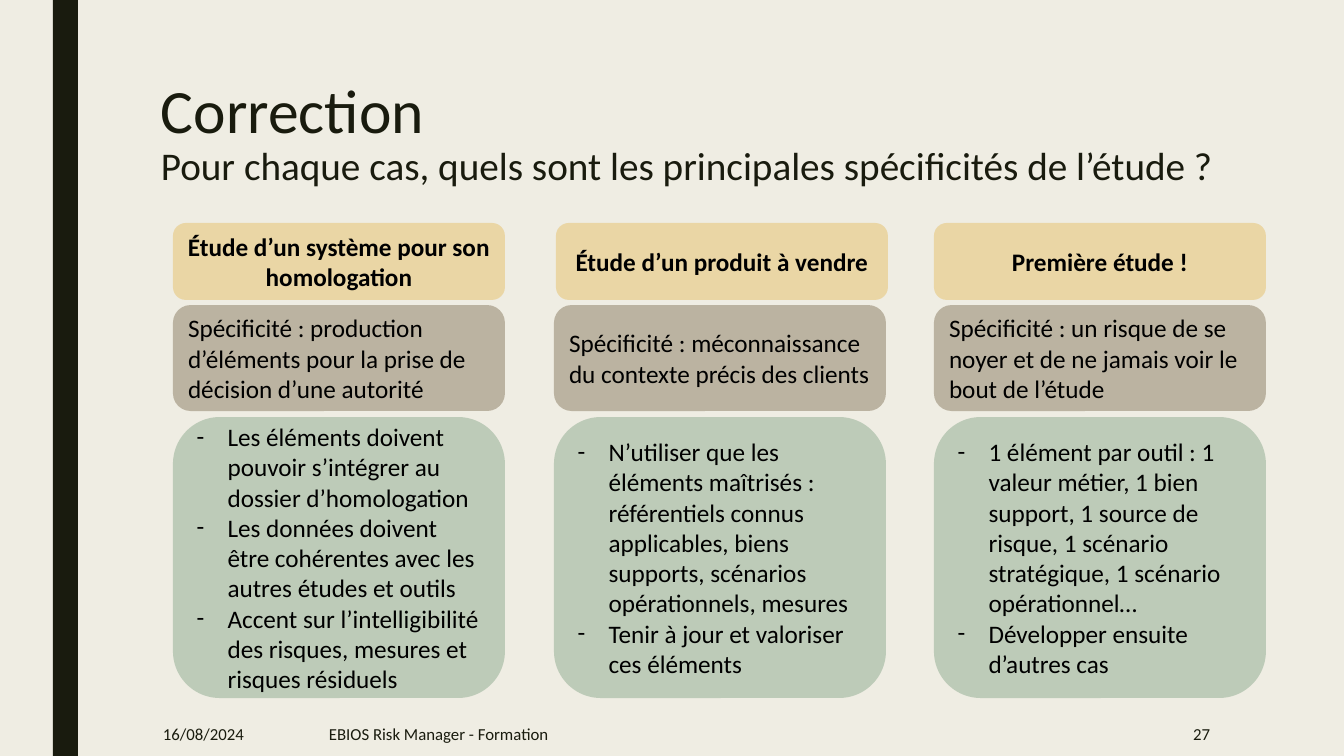
from lxml import etree
from pptx import Presentation
from pptx.dml.color import RGBColor
from pptx.enum.shapes import MSO_SHAPE
from pptx.enum.text import MSO_ANCHOR, PP_ALIGN
from pptx.oxml.ns import qn
from pptx.util import Emu, Pt

EMU_PER_PX = 914400 / 100.8
FONT = "Calibri"
COLORS = {
    "background": "EFEDE3",
    "dark": "191B0E",
    "text": "000000",
    "case": "E6C069",
    "specificity": "897B61",
    "advice": "8DAB8E",
}
CARD_WIDTH = 332
COLUMNS = [
    # card left, header left, header, specificity, advice
    (173, 173, "Étude d’un système pour son homologation",
     "Spécificité : production d’éléments pour la prise de décision d’une autorité",
     ["Les éléments doivent pouvoir s’intégrer au dossier d’homologation",
      "Les données doivent être cohérentes avec les autres études et outils",
      "Accent sur l’intelligibilité des risques, mesures et risques résiduels"]),
    (554, 556, "Étude d’un produit à vendre",
     "Spécificité : méconnaissance du contexte précis des clients",
     ["N’utiliser que les éléments maîtrisés : référentiels connus applicables, "
      "biens supports, scénarios opérationnels, mesures",
      "Tenir à jour et valoriser ces éléments"]),
    (934, 934, "Première étude !",
     "Spécificité : un risque de se noyer et de ne jamais voir le bout de l’étude",
     ["1 élément par outil : 1 valeur métier, 1 bien support, 1 source de risque, "
      "1 scénario stratégique, 1 scénario opérationnel…",
      "Développer ensuite d’autres cas"]),
]


def px(value):
    return Emu(round(value * EMU_PER_PX))


def box(*lengths):
    return [px(v) for v in lengths]


def color(name):
    return RGBColor.from_string(COLORS[name])


def add_run(p, text, size, color_name, bold=False):
    r = p.add_run()
    r.text = text
    r.font.name = FONT
    r.font.size = Pt(size)
    r.font.bold = bold
    r.font.color.rgb = color(color_name)


def add_dash(p):
    """Give the paragraph a dash bullet with a hanging indent."""
    pPr = p._p.get_or_add_pPr()
    pPr.set("marL", str(px(31)))
    pPr.set("indent", str(px(-31)))
    etree.SubElement(pPr, qn("a:buFont"), typeface=FONT)
    etree.SubElement(pPr, qn("a:buChar"), char="-")


def add_filled(s, shape, lengths, fill):
    sp = s.shapes.add_shape(shape, *box(*lengths))
    sp.shadow.inherit = False
    sp.fill.solid()
    sp.fill.fore_color.rgb = color(fill)
    sp.line.fill.background()
    return sp


def add_card(s, lengths, fill, texts, align=PP_ALIGN.LEFT, bold=False, dashed=False):
    """Add a half-transparent rounded card with one paragraph per text."""
    sp = add_filled(s, MSO_SHAPE.FLOWCHART_ALTERNATE_PROCESS, lengths, fill)
    srgb = sp.fill._xPr.find(".//" + qn("a:srgbClr"))
    etree.SubElement(srgb, qn("a:alpha"), val="50000")
    tf = sp.text_frame
    tf.word_wrap = True
    tf.vertical_anchor = MSO_ANCHOR.MIDDLE
    for i, text in enumerate(texts):
        p = tf.add_paragraph() if i else tf.paragraphs[0]
        p.alignment = align
        if dashed:
            add_dash(p)
        add_run(p, text, 18, "text", bold)


def add_text_box(s, lengths, anchor, align=PP_ALIGN.LEFT):
    """Add an empty wrapping text box and return its first paragraph."""
    tf = s.shapes.add_textbox(*box(*lengths)).text_frame
    tf.word_wrap = True
    tf.vertical_anchor = anchor
    p = tf.paragraphs[0]
    p.alignment = align
    return p


def add_title(s):
    p = add_text_box(s, (151, 76, 1093, 163), MSO_ANCHOR.TOP)
    p.line_spacing = 0.89
    add_run(p, "Correction", 44, "dark")
    p.add_line_break()
    add_run(p, "Pour chaque cas, quels sont les principales spécificités de l’étude ?",
            28, "dark")


def add_footer(s, left, width, text, align=PP_ALIGN.LEFT):
    p = add_text_box(s, (left, 712, width, 44), MSO_ANCHOR.MIDDLE, align)
    add_run(p, text, 12, "dark")


def main():
    prs = Presentation()
    prs.slide_width, prs.slide_height = px(1344), px(756)
    s = prs.slides.add_slide(prs.slide_layouts[6])
    s.background.fill.solid()
    s.background.fill.fore_color.rgb = color("background")

    add_filled(s, MSO_SHAPE.RECTANGLE, (53, 0, 25, 756), "dark")
    add_title(s)
    add_footer(s, 153, 133, "16/08/2024")
    add_footer(s, 319, 692, "EBIOS Risk Manager - Formation")
    add_footer(s, 1044, 176, "27", PP_ALIGN.RIGHT)

    for left, header_left, header, specificity, advice in COLUMNS:
        add_card(s, (header_left, 223, CARD_WIDTH, 77), "case", [header],
                 PP_ALIGN.CENTER, bold=True)
        add_card(s, (left, 305, CARD_WIDTH, 106), "specificity", [specificity])
        add_card(s, (left, 417, CARD_WIDTH, 281), "advice", advice, dashed=True)

    prs.save("out.pptx")


if __name__ == "__main__":
    main()
